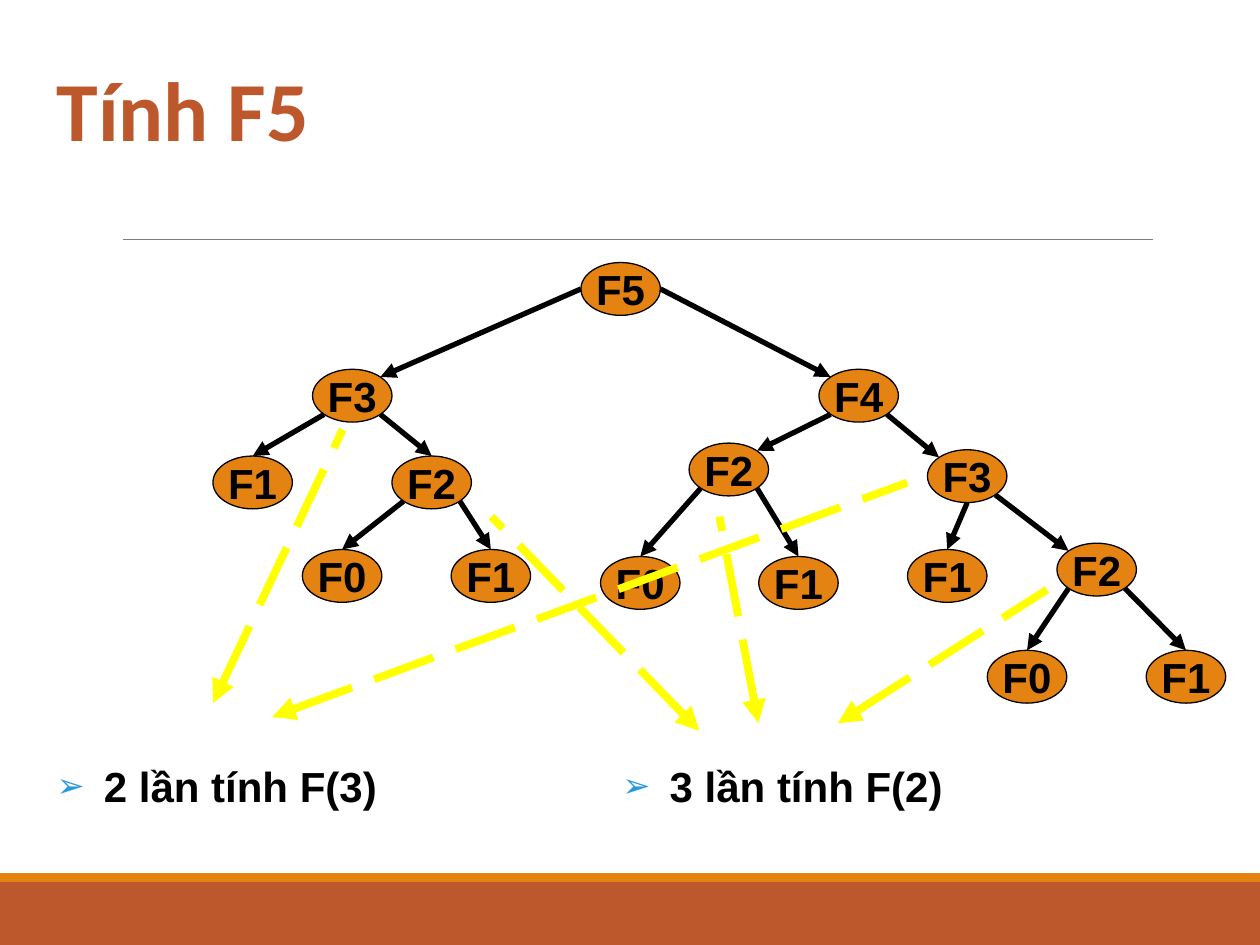
from lxml import etree
from pptx import Presentation
from pptx.dml.color import RGBColor
from pptx.enum import dml, shapes, text
from pptx.oxml import ns
from pptx.util import Pt

ORANGE, RUST, BLACK, YELLOW, GREY = "E48312", "BD582C", "000000", "FFFF00", "7F7F7F"
NODE_W, NODE_H = 45.4, 30.2


def color(code):
    return RGBColor.from_string(code)


def add_line(start, end, code, width, arrowhead=None):
    """Draw a straight line; arrowhead is 'headEnd' (at start) or 'tailEnd'."""
    line = page.shapes.add_connector(
        shapes.MSO_CONNECTOR.STRAIGHT, *(Pt(v) for v in (*start, *end)))
    line.line.color.rgb = color(code)
    line.line.width = Pt(width)
    if code == YELLOW:
        line.line.dash_style = dml.MSO_LINE.LONG_DASH
    if arrowhead:
        etree.SubElement(line.line._get_or_add_ln(), ns.qn("a:" + arrowhead), type="triangle")
    etree.SubElement(line._element.spPr, ns.qn("a:effectLst"))
    return line


deck = Presentation()
deck.slide_width, deck.slide_height = Pt(720), Pt(540)
page = deck.slides.add_slide(deck.slide_layouts.get_by_name("Two Content"))

# Footer bands and the rule under the title
for top, height, code in ((504, 36, RUST), (499, 5, ORANGE)):
    band = page.shapes.add_shape(shapes.MSO_SHAPE.RECTANGLE, 0, Pt(top), Pt(720), Pt(height))
    band.shadow.inherit = False
    band.fill.solid()
    band.fill.fore_color.rgb = color(code)
    band.line.fill.background()
add_line((70.5, 136.8), (659, 136.8), GREY, 0.5)

# Title and the two captions
title, left_caption, right_caption = page.placeholders
for box, words, left, top, width, height, font, size, code in (
    (title, "Tính F5", 25.2, 15, 215, 79.2, "Calibri", 48, RUST),
    (left_caption, "2 lần tính F(3)", 25.2, 434, 232.6, 51, "Arial", 24, BLACK),
    (right_caption, "3 lần tính F(2)", 348.5, 434, 232.6, 51, "Arial", 24, BLACK),
):
    box.left, box.top, box.width, box.height = Pt(left), Pt(top), Pt(width), Pt(height)
    frame = box.text_frame
    frame.word_wrap = True
    frame.auto_size = text.MSO_AUTO_SIZE.NONE
    frame.vertical_anchor = text.MSO_ANCHOR.BOTTOM if box is title else text.MSO_ANCHOR.TOP
    para = frame.paragraphs[0]
    para.alignment = text.PP_ALIGN.LEFT
    para.line_spacing = 0.85 if box is title else 0.9
    para.space_before = Pt(0 if box is title else 6)
    span = para.add_run()
    span.text = words
    span.font.name, span.font.size, span.font.bold = font, Pt(size), True
    span.font.color.rgb = color(code)
    if box is not title:
        props = para._p.get_or_add_pPr()
        props.set("marL", str(Pt(27)))
        props.set("indent", str(Pt(-27)))
        bullet_color = etree.SubElement(props, ns.qn("a:buClr"))
        etree.SubElement(bullet_color, ns.qn("a:srgbClr"), val="2998E3")
        etree.SubElement(props, ns.qn("a:buSzPct"), val="80000")
        etree.SubElement(props, ns.qn("a:buChar"), char="➢")

# The pointer from the left F2 lies behind the tree
add_line((399.6, 417.6), (280.8, 295.2), YELLOW, 4.5, "headEnd")

# Points on an ellipse, as fractions of its half width and half height
TOP, LEFT, BOTTOM, RIGHT = (0, -1), (-1, 0), (0, 1), (1, 0)
TOP_LEFT, TOP_RIGHT = (-0.71, -0.71), (0.71, -0.71)
LOW_LEFT, LOW_RIGHT = (-0.71, 0.71), (0.71, 0.71)

# label, left, top, index of parent, point on parent, point on node
tree = [
    ("F5", 332, 150, None, None, None),
    ("F3", 178.6, 211, 0, LEFT, TOP_RIGHT),
    ("F4", 468, 211, 0, RIGHT, TOP_LEFT),
    ("F1", 121.7, 260.6, 1, LOW_LEFT, TOP),
    ("F2", 224, 260.6, 1, LOW_RIGHT, TOP),
    ("F0", 172.8, 314, 4, LOW_LEFT, TOP),
    ("F1", 257.8, 314, 4, LOW_RIGHT, TOP),
    ("F2", 393.8, 253.2, 2, LOW_LEFT, TOP_RIGHT),
    ("F3", 530, 257, 2, LOW_RIGHT, TOP_LEFT),
    ("F1", 518.6, 314, 8, BOTTOM, TOP),
    ("F2", 604, 310.4, 8, LOW_RIGHT, TOP_LEFT),
    ("F0", 343.2, 318, 7, LOW_LEFT, TOP),
    ("F1", 433.6, 318, 7, LOW_RIGHT, TOP),
    ("F0", 564.2, 371.6, 10, LOW_LEFT, TOP),
    ("F1", 655, 371.6, 10, LOW_RIGHT, TOP),
]
nodes = []
for label, left, top, *_ in tree:
    node = page.shapes.add_shape(
        shapes.MSO_SHAPE.OVAL, Pt(left), Pt(top), Pt(NODE_W), Pt(NODE_H))
    node.shadow.inherit = False
    node.fill.solid()
    node.fill.fore_color.rgb = color(ORANGE)
    node.line.color.rgb = color(BLACK)
    node.line.width = Pt(0.75)
    node.text_frame.word_wrap = False
    node.text_frame.vertical_anchor = text.MSO_ANCHOR.MIDDLE
    para = node.text_frame.paragraphs[0]
    para.alignment = text.PP_ALIGN.CENTER
    span = para.add_run()
    span.text = label
    span.font.name, span.font.size, span.font.bold = "Arial", Pt(24), True
    span.font.color.rgb = color(BLACK)
    nodes.append(node)

for node, (_, left, top, parent, parent_point, node_point) in zip(nodes, tree):
    if parent is None:
        continue
    corners = (tree[parent][1:3], (left, top))
    start, end = [
        (x + NODE_W / 2 * (1 + dx), y + NODE_H / 2 * (1 + dy))
        for (x, y), (dx, dy) in zip(corners, (parent_point, node_point))
    ]
    branch = add_line(start, end, BLACK, 3, "tailEnd")
    if node_point == TOP:
        branch.end_connect(node, 0)

# Pointers from repeated nodes to the captions that count them
for tip, origin in (
    ((121.7, 401.8), (195.8, 245.5)),
    ((155.5, 409.7), (518.4, 275.8)),
    ((478.8, 413.3), (598.3, 337)),
    ((433.4, 413.3), (411.1, 295.2)),
):
    add_line(tip, origin, YELLOW, 4.5, "headEnd")

deck.save("out.pptx")
